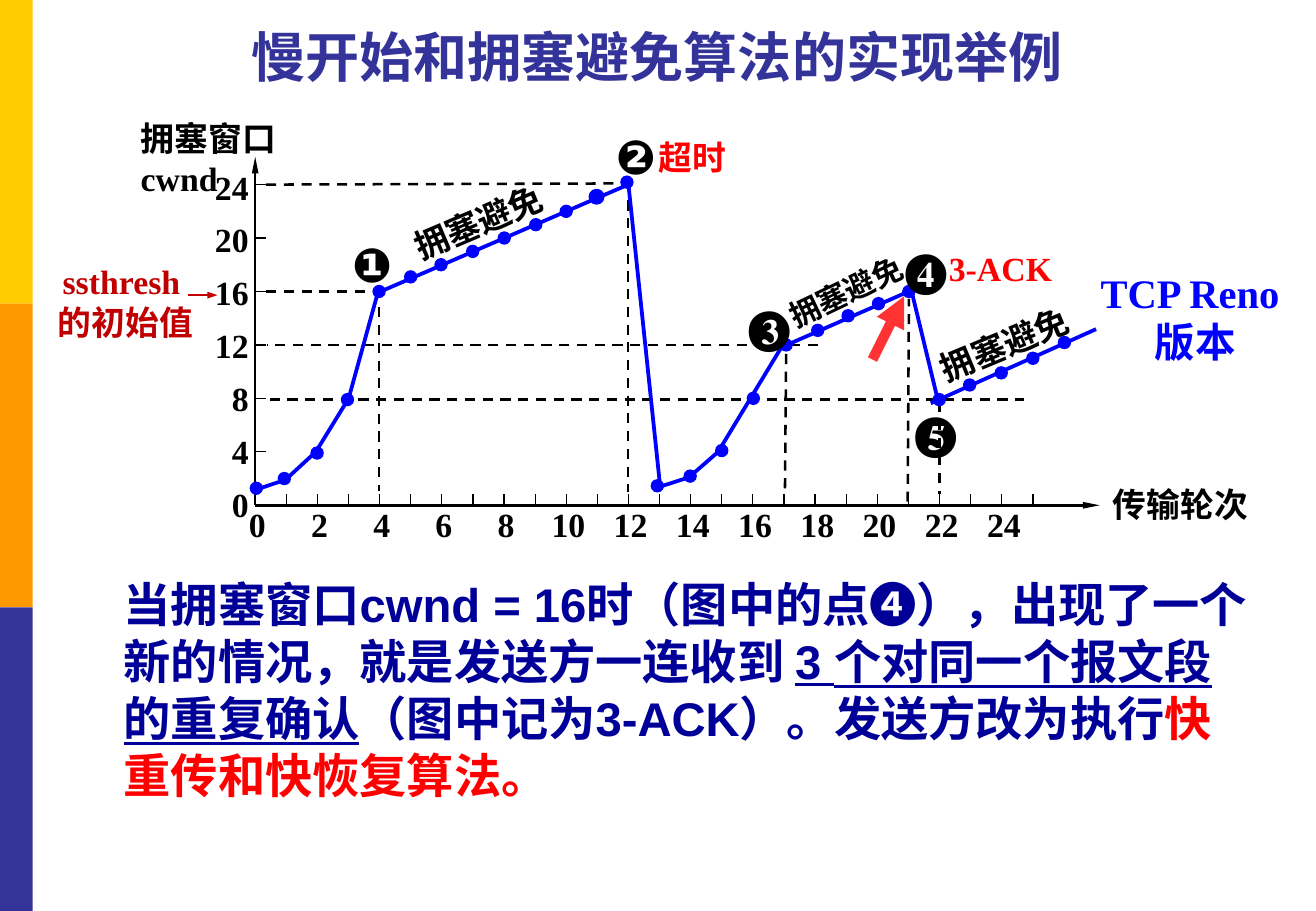
from dataclasses import dataclass

from lxml import etree
from pptx import Presentation
from pptx.dml.color import RGBColor
from pptx.enum.dml import MSO_LINE
from pptx.enum.shapes import MSO_CONNECTOR, MSO_SHAPE
from pptx.enum.text import MSO_ANCHOR, MSO_AUTO_SIZE, PP_ALIGN
from pptx.oxml.ns import qn
from pptx.util import Inches, Pt

DASH = MSO_LINE.DASH
STRAIGHT = MSO_CONNECTOR.STRAIGHT
RECTANGLE = MSO_SHAPE.RECTANGLE
OVAL = MSO_SHAPE.OVAL
MIDDLE = MSO_ANCHOR.MIDDLE
TOP = MSO_ANCHOR.TOP
FIT_SHAPE = MSO_AUTO_SIZE.SHAPE_TO_FIT_TEXT
NO_FIT = MSO_AUTO_SIZE.NONE
CENTER = PP_ALIGN.CENTER
LEFT = PP_ALIGN.LEFT

BLACK, BLUE, RED, DARK_RED = "000000", "0000FF", "FF0000", "C00000"
NAVY, INDIGO = "000099", "333399"
SERIF, SANS = "Times New Roman", "Arial"
ORIGIN_X, ORIGIN_Y = 2.1, 4.16
ROUND_STEP = 0.256
WINDOW_STEP = 0.44
DOT_SIZE = 0.1


@dataclass
class Label:
    text: str
    left: float
    top: float
    width: float
    height: float = 0.44
    size: float = 20
    color: str = BLACK
    font: str = SERIF
    centered: bool = False
    wrap: bool = False
    middle: bool = False
    rotation: float = 0


@dataclass
class Line:
    start: tuple[float, float]
    end: tuple[float, float]
    color: str = BLACK
    weight: float = 1.5
    dashed: bool = False
    arrow: tuple[str, str] | None = None
    opacity: int = 100


@dataclass
class Run:
    text: str
    color: str = NAVY
    underline: bool = False


BANDS = ["FFCC00", "FF9900", INDIGO]

AXES = [
    Line((ORIGIN_X, ORIGIN_Y), (9.05, ORIGIN_Y), arrow=("sm", "lg")),
    Line((ORIGIN_X, ORIGIN_Y), (ORIGIN_X, 1.29), arrow=("sm", "lg")),
]

GUIDES = [
    Line(start, end, dashed=True)
    for start, end in [
        ((2.19, 1.52), (5.18, 1.51)),
        ((2.19, 2.4), (3.12, 2.4)),
        ((6.73, 2.84), (2.2, 2.84)),
        ((2.22, 3.29), (8.43, 3.29)),
        ((3.12, 2.53), (3.12, 4.04)),
        ((5.17, 1.65), (5.17, 4.05)),
        ((6.46, 4.02), (6.47, 2.88)),
        ((7.47, 4.13), (7.48, 2.46)),
        ((7.73, 3.31), (7.73, 4.07)),
    ]
]

GROWTH_CURVES = [
    [(5.17, 1.52), (3.11, 2.41), (2.87, 3.28), (2.6, 3.72), (2.35, 3.95), (2.11, 4.03)],
    [(5.42, 4.01), (5.67, 3.93), (5.91, 3.72), (6.43, 2.86), (7.5, 2.39)],
]

CURVE_LINES = [
    Line(start, end, BLUE, 2.25)
    for start, end in [
        ((5.17, 1.5), (5.43, 3.98)),
        ((7.5, 2.39), (7.72, 3.3)),
        ((7.66, 3.32), (9.02, 2.71)),
    ]
]

DOTS = [
    (2.11, 4.02), (2.34, 3.94), (2.61, 3.73), (2.86, 3.29), (3.12, 2.4),
    (3.38, 2.28), (3.63, 2.18), (3.89, 2.07), (4.15, 1.96), (4.41, 1.85),
    (4.66, 1.74), (5.16, 1.5), (5.41, 4), (5.68, 3.92), (5.94, 3.71),
    (6.2, 3.28), (6.47, 2.84), (6.73, 2.72), (6.98, 2.6), (7.23, 2.5),
    (7.48, 2.4), (7.73, 3.29), (7.98, 3.17), (8.24, 3.07), (8.5, 2.95),
    (8.76, 2.82),
]
THICK_DOT = (4.91, 1.62)

LABELS = [
    Label("慢开始和拥塞避免算法的实现举例 ", 0.46, 0.17, 10, 0.58, 32, INDIGO, "Karla",
          centered=True, wrap=True, middle=True),
    Label("超时", 5.32, 1.08, 1.27, color=RED, wrap=True),
    Label("传输轮次", 9.06, 3.93, 1.33),
    Label("拥塞窗口\vcwnd", 1.06, 0.92, 2.11, 0.77, wrap=True),
    Label("3-ACK", 7.71, 1.99, 1.29, color=RED, wrap=True),
    Label("TCP Reno \n版本", 8.94, 2.16, 1.79, 0.91, 24, BLUE, centered=True),
    Label("ssthresh\n 的初始值", 0.3, 2.1, 1.4, 0.77, color=DARK_RED, centered=True),
    Label("拥塞避免", 3.27, 1.61, 1.33, centered=True, rotation=336.8),
    Label("拥塞避免", 6.35, 2.2, 1.22, 0.4, 18, centered=True, rotation=334.5),
    Label("拥塞避免", 7.6, 2.62, 1.33, centered=True, rotation=337.4),
    Label("❶", 2.8, 1.97, 0.48, 0.4, 28, font=SANS, middle=True),
    Label("❷", 4.97, 1.12, 0.4, 0.33, 28, font=SANS, middle=True),
    Label("❸", 6.06, 2.4, 0.55, 0.57, 28),
    Label("❹", 7.35, 1.93, 0.55, 0.57, 28),
    Label("❺", 7.43, 3.27, 0.55, 0.57, 28),
]

ARROWS = [
    Line((1.55, 2.43), (1.79, 2.43), DARK_RED, arrow=("sm", "med")),
    Line((7.18, 2.96), (7.44, 2.44), RED, 6, arrow=("med", "med"), opacity=80),
]

EXPLANATION = [
    Run("当拥塞窗口cwnd = 16时（图中的点❹），出现了一个新的情况，就是发送方一连收到 "),
    Run("3 个对同一个报文段的重复确认", underline=True),
    Run("（图中记为3-ACK）。发送方改为执行"),
    Run("快重传和快恢复算法。", RED),
]


def rgb(color: str) -> RGBColor:
    return RGBColor.from_string(color)


def draw_shape(slide, kind, left: float, top: float, width: float, height: float,
               color: str, outline: float = 0) -> None:
    shape = slide.shapes.add_shape(kind, Inches(left), Inches(top), Inches(width), Inches(height))
    shape.shadow.inherit = False
    shape.fill.solid()
    shape.fill.fore_color.rgb = rgb(color)
    if outline:
        shape.line.color.rgb = rgb(color)
        shape.line.width = Pt(outline)
    else:
        shape.line.fill.background()


def draw_dot(slide, center: tuple[float, float], outline: float = 0.75) -> None:
    left, top = (value - DOT_SIZE / 2 for value in center)
    draw_shape(slide, OVAL, left, top, DOT_SIZE, DOT_SIZE, BLUE, outline)


def draw_line(slide, line: Line) -> None:
    connector = slide.shapes.add_connector(STRAIGHT, *map(Inches, line.start + line.end))
    connector.line.color.rgb = rgb(line.color)
    connector.line.width = Pt(line.weight)
    if line.dashed:
        connector.line.dash_style = DASH
    properties = connector._element.spPr
    outline = properties.find(qn("a:ln"))
    if line.opacity < 100:
        color = outline.find(f".//{qn('a:srgbClr')}")
        etree.SubElement(color, qn("a:alpha"), val=str(line.opacity * 1000))
    if line.arrow:
        width, length = line.arrow
        etree.SubElement(outline, qn("a:tailEnd"), type="triangle", w=width, len=length)
    etree.SubElement(properties, qn("a:effectLst"))


def draw_curve(slide, points: list[tuple[float, float]]) -> None:
    corners = [(Inches(x), Inches(y)) for x, y in points]
    builder = slide.shapes.build_freeform(*corners[0])
    builder.add_line_segments(corners[1:], close=False)
    shape = builder.convert_to_shape()
    shape.shadow.inherit = False
    shape.fill.background()
    shape.line.color.rgb = rgb(BLUE)
    shape.line.width = Pt(2.25)


def draw_label(slide, label: Label):
    box = slide.shapes.add_textbox(
        Inches(label.left), Inches(label.top), Inches(label.width), Inches(label.height))
    box.rotation = label.rotation
    frame = box.text_frame
    frame.word_wrap = label.wrap
    frame.auto_size = NO_FIT if label.middle else FIT_SHAPE
    frame.vertical_anchor = MIDDLE if label.middle else TOP
    frame.text = label.text
    for paragraph in frame.paragraphs:
        paragraph.alignment = CENTER if label.centered else LEFT
        paragraph.font.name = label.font
        paragraph.font.size = Pt(label.size)
        paragraph.font.bold = True
        paragraph.font.color.rgb = rgb(label.color)
    return frame


def draw_scales(slide) -> None:
    for index in range(1, 26):
        x = ORIGIN_X + ROUND_STEP * index
        draw_line(slide, Line((x, 4.07), (x, ORIGIN_Y), weight=0.75))
    for index in range(6):
        y = 1.52 + WINDOW_STEP * index
        draw_line(slide, Line((ORIGIN_X, y), (2.19, y), weight=0.75))
    for number in range(0, 25, 2):
        width = 0.48 if number > 9 else 0.34
        center = ORIGIN_X + 0.02 + ROUND_STEP * number
        draw_label(slide, Label(str(number), center - width / 2, 4.1, width))
    for number in range(0, 25, 4):
        width = 0.48 if number > 9 else 0.34
        top = 3.93 - 2.61 * number / 24
        draw_label(slide, Label(str(number), 2.15 - width, top, width))


def draw_explanation(slide) -> None:
    frame = draw_label(slide, Label("", 0.92, 4.69, 9.47, 1.98, 28, NAVY, SANS, wrap=True))
    for part in EXPLANATION:
        run = frame.paragraphs[0].add_run()
        run.text = part.text
        run.font.color.rgb = rgb(part.color)
        run.font.underline = part.underline


def main() -> None:
    presentation = Presentation()
    presentation.slide_width = Inches(10.83)
    presentation.slide_height = Inches(7.5)
    slide = presentation.slides.add_slide(presentation.slide_layouts[6])
    for index, color in enumerate(BANDS):
        draw_shape(slide, RECTANGLE, 0, 2.5 * index, 0.27, 2.5, color)
    draw_scales(slide)
    for line in AXES + GUIDES + CURVE_LINES:
        draw_line(slide, line)
    for points in GROWTH_CURVES:
        draw_curve(slide, points)
    for center in DOTS:
        draw_dot(slide, center)
    draw_dot(slide, THICK_DOT, 2.25)
    for label in LABELS:
        draw_label(slide, label)
    for arrow in ARROWS:
        draw_line(slide, arrow)
    draw_explanation(slide)
    presentation.save("out.pptx")


if __name__ == "__main__":
    main()
